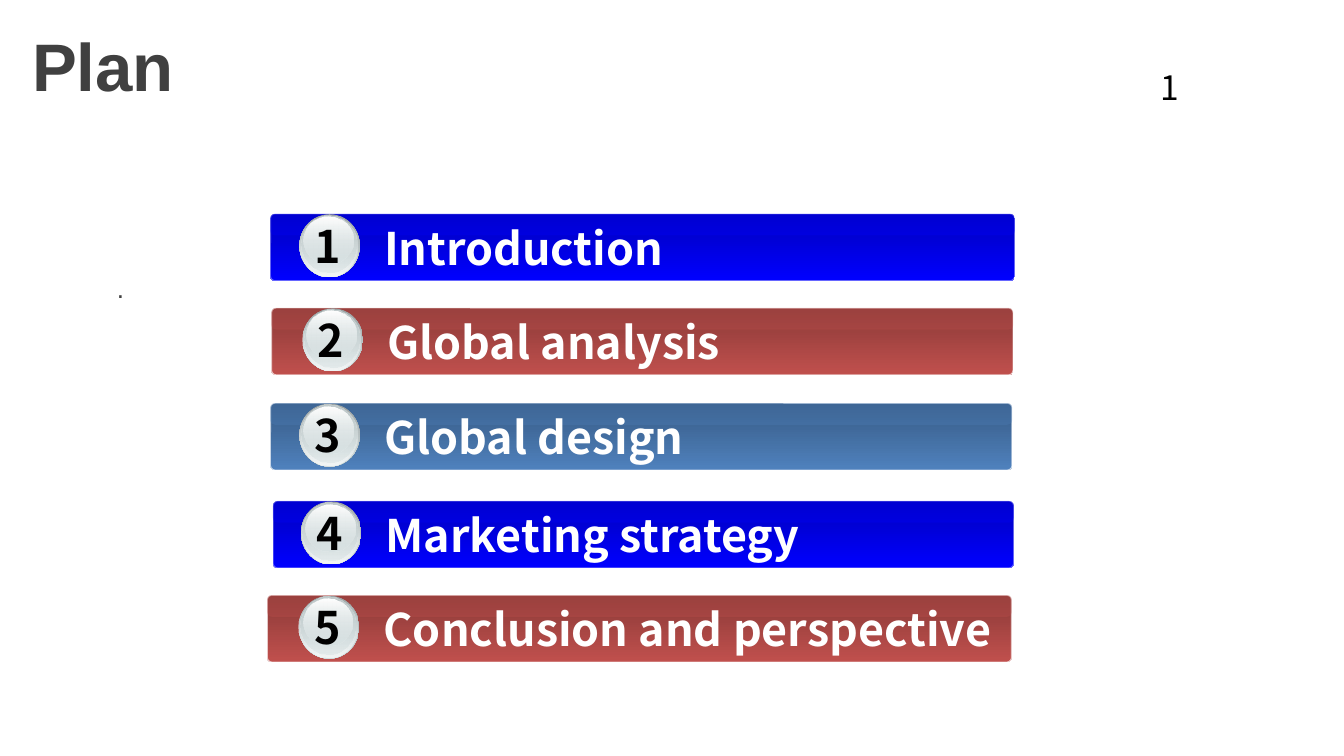
from pptx import Presentation
from pptx.dml.color import RGBColor
from pptx.enum.shapes import MSO_SHAPE as Preset
from pptx.enum.text import MSO_ANCHOR as Anchor, PP_ALIGN as Align
from pptx.oxml.ns import qn
from pptx.util import Cm, Pt
from lxml.etree import SubElement

WHITE = RGBColor(0xFF, 0xFF, 0xFF)
BLACK = RGBColor(0, 0, 0)
CHARCOAL = RGBColor(0x40, 0x40, 0x40)
DARK_BLUE = RGBColor(0, 0, 0xBE)
BLUE = RGBColor(0, 0, 0xFF)
DARK_RED = RGBColor(0x8B, 0x3A, 0x38)
RED = RGBColor(0xC0, 0x50, 0x4D)
DARK_STEEL = RGBColor(0x37, 0x5B, 0x85)
STEEL = RGBColor(0x4F, 0x81, 0xBD)
SHADE = RGBColor(0x99, 0xA1, 0xA2)
SILVER = RGBColor(0xC1, 0xCB, 0xCC)
MIST = RGBColor(0xD6, 0xE1, 0xE2)
PEARL = RGBColor(0xF2, 0xF5, 0xF5)

HEADING_FONT = "Arial"
PLAN_FONT = "Noto Sans CJK KR"
BAR_HEIGHT = 1.27
GLOSS_HEIGHT = 0.41
CORNER = 0.09

BLUE_THEME = (DARK_BLUE, BLUE, 40)
RED_THEME = (DARK_RED, RED, 70)
STEEL_THEME = (DARK_STEEL, STEEL, 70)

PLAN = [
    ("Introduction", BLUE_THEME, (5.11, 4.04, 14.07), 5.66, 10.6),
    ("Global analysis", RED_THEME, (5.13, 5.82, 14.02), 5.72, 10.85),
    ("Global design", STEEL_THEME, (5.11, 7.62, 14.02), 5.66, 10.67),
    ("Marketing strategy", BLUE_THEME, (5.16, 9.47, 14), 5.69, 10.54),
    ("Conclusion and perspective", RED_THEME, (5.05, 11.25, 14.07), 5.65, 12.04),
]

BADGE_LAYERS = [
    ((0, 0, 1.14, 1.19), (SHADE, MIST), (100, 100)),
    ((0, 0, 1.1, 1.17), (MIST, PEARL), (0, 100)),
    ((0.03, 0.02, 1.04, 1.09), (SILVER, MIST), (100, 48)),
    ((0.08, 0.05, 0.94, 0.89), (WHITE, MIST), (100, 38)),
]


def add_text(shapes, text, box, *, size, color, font=PLAN_FONT, bold=False,
             align=Align.LEFT, anchor=Anchor.MIDDLE, inset=0.25):
    frame = shapes.add_textbox(*map(Cm, box)).text_frame
    frame.word_wrap = True
    frame.vertical_anchor = anchor
    frame.margin_left = Cm(inset)
    paragraph = frame.paragraphs[0]
    paragraph.alignment = align
    run = paragraph.add_run()
    run.text = text
    run.font.name = font
    run.font.size = Pt(size)
    run.font.bold = bold
    run.font.color.rgb = color
    properties = run.font._element
    SubElement(properties, qn("a:ea"), typeface=font)


def add_filled(shapes, preset, box, colors, opacities, outline=None):
    shape = shapes.add_shape(preset, *map(Cm, box))
    shape.shadow.inherit = False
    if preset == Preset.ROUNDED_RECTANGLE:
        shape.adjustments[0] = CORNER / box[3]
    if len(colors) == 1:
        shape.fill.solid()
        shape.fill.fore_color.rgb = colors[0]
    else:
        shape.fill.gradient()
        shape.fill.gradient_angle = 270
        for stop, color in zip(shape.fill.gradient_stops, colors):
            stop.color.rgb = color
    if outline is None:
        shape.line.fill.background()
    else:
        shape.line.color.rgb = outline
        shape.line.width = Pt(0.75)
    painted = list(shape._element.spPr.iter(qn("a:srgbClr")))
    for paint, opacity in zip(painted, opacities):
        if opacity < 100:
            SubElement(paint, qn("a:alpha"), val=str(opacity * 1000))


def add_bar(shapes, box, theme):
    left, top, width, height = box
    dark, light, outline_opacity = theme
    add_filled(shapes, Preset.ROUNDED_RECTANGLE, box, (dark, light),
               (100, 100, outline_opacity), outline=WHITE)
    add_filled(shapes, Preset.ROUNDED_RECTANGLE,
               (left, top, width, GLOSS_HEIGHT), (light,), (30,))


def add_badge(shapes, left, top, number):
    for (dx, dy, width, height), colors, opacities in BADGE_LAYERS:
        add_filled(shapes, Preset.OVAL, (left + dx, top + dy, width, height),
                   colors, opacities)
    add_text(shapes, str(number), (left + 0.02, top - 0.05, 1.04, BAR_HEIGHT),
             size=24, color=BLACK, bold=True, align=Align.CENTER)


def add_plan_row(slide, number, label, theme, bar, badge_left, label_width):
    left, top, width = bar
    shapes = slide.shapes.add_group_shape().shapes
    add_bar(shapes, (left, top, width, BAR_HEIGHT), theme)
    add_text(shapes, label, (badge_left + 1.35, top, label_width, BAR_HEIGHT),
             size=24, color=WHITE, bold=True)
    add_badge(shapes, badge_left, top + 0.01, number)


def add_heading(slide, box):
    add_text(slide.shapes, "Plan", box, size=36, color=CHARCOAL,
             font=HEADING_FONT, bold=True, inset=0.61)


def add_body(slide, box):
    add_text(slide.shapes, ".", box, size=14, color=CHARCOAL,
             font=HEADING_FONT, anchor=Anchor.TOP, inset=1.09)


def add_page_number(slide, box):
    add_text(slide.shapes, "1", box, size=18, color=BLACK)


def main():
    deck = Presentation()
    deck.slide_width, deck.slide_height = Cm(25.4), Cm(14.29)
    slide = deck.slides.add_slide(deck.slide_layouts[6])
    add_heading(slide, (0, 0, 25.4, 2.46))
    add_body(slide, (1.12, 5.03, 23.6, 8.33))
    for number, row in enumerate(PLAN, start=1):
        add_plan_row(slide, number, *row)
    add_page_number(slide, (21.69, 1.14, 1.6, 1.02))
    deck.save("out.pptx")


if __name__ == "__main__":
    main()
